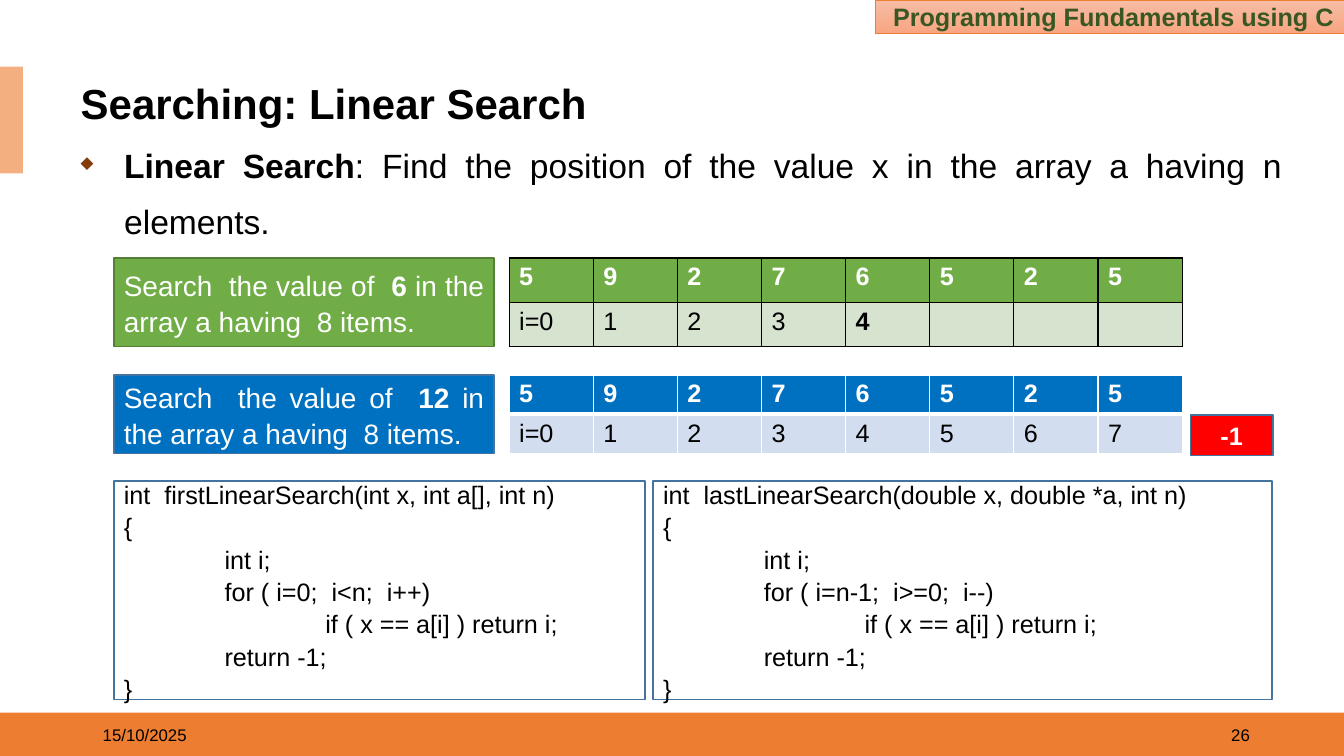
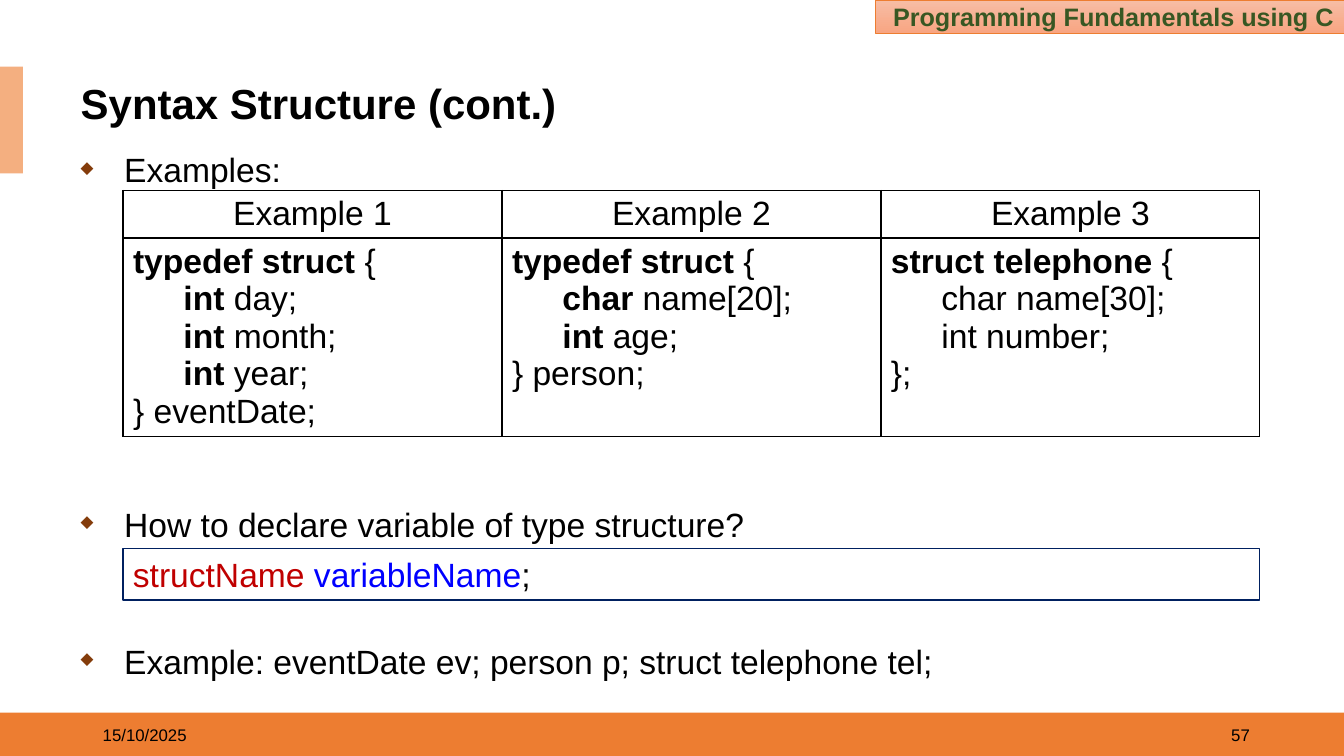
from dataclasses import dataclass

from lxml import etree
from pptx import Presentation
from pptx.dml.color import RGBColor
from pptx.enum.shapes import MSO_SHAPE
from pptx.enum.text import MSO_ANCHOR, MSO_AUTO_SIZE, PP_ALIGN
from pptx.oxml.ns import qn
from pptx.util import Cm, Pt

RECT = MSO_SHAPE.RECTANGLE
LEFT, CENTER, RIGHT, JUSTIFY = PP_ALIGN.LEFT, PP_ALIGN.CENTER, PP_ALIGN.RIGHT, PP_ALIGN.JUSTIFY
TOP, MIDDLE = MSO_ANCHOR.TOP, MSO_ANCHOR.MIDDLE
FIXED = MSO_AUTO_SIZE.NONE
TITLE_ONLY = 5
B = {"bold": True}


@dataclass(frozen=True)
class Theme:
    font: str = "Arial"
    ink: str = "000000"
    paper: str = "FFFFFF"
    band: str = "ED7D31"
    accent: str = "F4AF80"
    tag_top: str = "F7BDA5"
    tag_bottom: str = "F8A582"
    tag_text: str = "385723"
    bullet: str = "843C0B"
    found: str = "70AD47"
    found_line: str = "538035"
    found_tint: str = "D5E3CF"
    missing: str = "0070C0"
    missing_tint: str = "D2DEEF"
    outline: str = "43739E"
    alert: str = "FF0000"
    syntax_line: str = "002060"
    type_name: str = "C00000"
    variable: str = "0000FF"
    title_size: int = 30
    body_size: int = 24
    note_size: int = 20
    code_size: int = 18
    footer_size: int = 12


def rgb(value):
    return RGBColor.from_string(value)


def assign(target, values):
    for name, value in values.items():
        setattr(target, name, value)


class Deck:
    """Builds course slides that share one theme, header and footer."""

    def __init__(self, theme):
        self.theme = theme
        self.prs = Presentation()
        assign(self.prs, {"slide_width": Cm(33.87), "slide_height": Cm(19.05)})
        self.slide = None

    def start(self, heading, number):
        t = self.theme
        self.slide = self.prs.slides.add_slide(self.prs.slide_layouts[TITLE_ONLY])
        self.box((0, 17.96, 33.87, 1.09), t.band)
        self.box((0, 1.68, 0.58, 2.69), t.accent)
        tag = self.box((22.07, 0, 11.8, 0.84), line=t.band, width=0.5)
        tag.fill.gradient()
        tag.fill.gradient_angle = 270
        for stop, color in zip(tag.fill.gradient_stops, (t.tag_top, t.tag_bottom)):
            stop.color.rgb = rgb(color)
        self.fill_frame(tag.text_frame, [[("Programming Fundamentals using C", B)]],
                        t.code_size, color=t.tag_text, align=RIGHT)

        title = self.slide.shapes.title
        assign(title, dict(zip(("left", "top", "width", "height"),
                               map(Cm, (1.78, 2.01, 30.78, 1.3)))))
        title.fill.solid()
        title.fill.fore_color.rgb = rgb(t.paper)
        self.fill_frame(title.text_frame, [[(heading, B)]], t.title_size, spacing=0.9)
        for left, text, align in ((2.34, "15/10/2025", LEFT), (24.13, str(number), RIGHT)):
            self.text((left, 18.01, 7.62, 1.02), [text], t.footer_size, align=align)

    def fill_frame(self, frame, paragraphs, size, anchor=MIDDLE, **style):
        assign(frame, {"word_wrap": True, "auto_size": FIXED, "vertical_anchor": anchor})
        self.fill_paragraphs(frame, paragraphs, size, **style)

    def fill_paragraphs(self, frame, paragraphs, size, color=None, align=LEFT,
                        spacing=1.0, step=0, bold=False):
        """Fill a frame; a paragraph is text, a list of runs, or (level, either)."""
        for index, content in enumerate(paragraphs):
            level, runs = content if isinstance(content, tuple) else (0, content)
            paragraph = frame.add_paragraph() if index else frame.paragraphs[0]
            assign(paragraph, {"alignment": align, "line_spacing": spacing, "space_before": Pt(0)})
            if level:
                paragraph._p.get_or_add_pPr().set("marL", str(Cm(step * level)))
            for text, style in [(runs, {})] if isinstance(runs, str) else runs:
                run = paragraph.add_run()
                run.text = text
                values = {"name": self.theme.font, "size": Pt(size), "bold": bold, **style}
                run_color = values.pop("color", color or self.theme.ink)
                assign(run.font, values)
                run.font.color.rgb = rgb(run_color)

    def box(self, place, fill=None, line=None, width=1):
        shape = self.slide.shapes.add_shape(RECT, *map(Cm, place))
        shape.shadow.inherit = False
        if fill:
            shape.fill.solid()
            shape.fill.fore_color.rgb = rgb(fill)
        else:
            shape.fill.background()
        if line:
            shape.line.color.rgb = rgb(line)
            shape.line.width = Pt(width)
        else:
            shape.line.fill.background()
        return shape

    def panel(self, place, paragraphs, size, fill=None, line=None, **style):
        self.fill_frame(self.box(place, fill, line).text_frame, paragraphs, size, **style)

    def text(self, place, paragraphs, size, **style):
        frame = self.slide.shapes.add_textbox(*map(Cm, place)).text_frame
        self.fill_frame(frame, paragraphs, size, **style)
        return frame

    def bullets(self, top, items, gaps):
        frame = self.text((1.78, top, 30.78, 14.22), items, self.theme.body_size,
                          align=JUSTIFY, spacing=1.4, anchor=TOP)
        for paragraph, gap in zip(frame.paragraphs, gaps):
            paragraph.space_before = Pt(gap)
            props = paragraph._p.get_or_add_pPr()
            props.set("marL", str(Cm(1.1)))
            props.set("indent", str(-Cm(1.1)))
            tint = etree.SubElement(props, qn("a:buClr"))
            etree.SubElement(tint, qn("a:srgbClr"), val=self.theme.bullet)
            etree.SubElement(props, qn("a:buSzPct"), val="50000")
            etree.SubElement(props, qn("a:buChar"), char="◆")

    def table(self, corner, columns, width, heights):
        table = self.slide.shapes.add_table(
            len(heights), columns, *map(Cm, (*corner, width * columns, sum(heights)))).table
        assign(table, {"first_row": False, "horz_banding": False})
        for column in table.columns:
            column.width = Cm(width)
        for row, height in zip(table.rows, heights):
            row.height = Cm(height)
        return table

    def cell(self, cell, paragraphs, size, fill=None, border=None, top=1, bottom=1, **style):
        props = cell._tc.get_or_add_tcPr()
        for side, width in (("L", 1), ("R", 1), ("T", top), ("B", bottom)):
            edge = etree.SubElement(props, qn(f"a:ln{side}"), w=str(Pt(width)))
            paint = etree.SubElement(edge, qn("a:solidFill"))
            etree.SubElement(paint, qn("a:srgbClr"), val=border or self.theme.ink)
        if fill:
            cell.fill.solid()
            cell.fill.fore_color.rgb = rgb(fill)
        else:
            cell.fill.background()
        self.fill_paragraphs(cell.text_frame, paragraphs, size, **style)

    def array(self, top, height, indices, fill, tint, border, rule):
        """Draw the searched array above the indices that were visited."""
        t = self.theme
        table = self.table((12.83, top), 8, 2.12, (height, height))
        for column, (value, index) in enumerate(zip("59276525", indices)):
            self.cell(table.cell(0, column), [value], t.code_size, fill, border,
                      bottom=rule, color=t.paper, bold=True)
            self.cell(table.cell(1, column), [index] if index else [], t.code_size,
                      tint, border, top=rule)


def search_code(signature, loop):
    return [signature, "{", (1, "int i;"), (1, loop),
            (2, "if ( x == a[i] ) return i;"), (1, "return -1;"), "}"]


def linear_search(deck):
    t = deck.theme
    deck.start("Searching: Linear Search", 26)
    deck.bullets(3.12, [[("Linear Search", B), (
        ": Find the position of the value x in the array a having n elements.", {})]], [0])

    searches = (
        ("6", 6.5, 2.24, t.found, t.found_line),
        ("12", 9.45, 1.98, t.missing, t.outline),
    )
    for target, top, height, fill, line in searches:
        task = [("Search  the value of  ", {}), (target, B),
                (" in the array a having  8 items.", {})]
        deck.panel((2.87, top, 9.58, height), [task], t.note_size, fill, line,
                   color=t.paper, align=JUSTIFY, spacing=1.07)
    visited = ["i=0", "1", "2", "3", [("4", B)], "", "", ""]
    deck.array(6.5, 1.12, visited, t.found, t.found_tint, t.ink, 1)
    visited = ["i=0", *"1234567"]
    deck.array(9.45, 0.99, visited, t.missing, t.missing_tint, t.paper, 3)
    deck.panel((30, 10.46, 2.08, 1.02), [[("-1", B)]], t.code_size, t.alert, t.outline,
               color=t.paper, align=CENTER)

    functions = (
        (2.87, 13.39, "int  firstLinearSearch(int x, int a[], int n)",
         "for ( i=0;  i<n;  i++)"),
        (16.46, 15.6, "int  lastLinearSearch(double x, double *a, int n)",
         "for ( i=n-1;  i>=0;  i--)"),
    )
    for left, width, signature, loop in functions:
        deck.panel((left, 12.12, width, 5.51), search_code(signature, loop), t.code_size,
                   line=t.outline, spacing=1.07, step=2.54)


def syntax_structure(deck):
    t = deck.theme
    deck.start("Syntax Structure (cont.)", 57)
    deck.bullets(3.23, ["Examples:", "How to declare variable of type structure?",
                        "Example: eventDate ev; person p; struct telephone tel;"],
                 [0, 213, 57.5])

    definitions = (
        [[("typedef struct", B), (" {", {})],
         *[(1, [("int", B), (f" {field};", {})]) for field in ("day", "month", "year")],
         "} eventDate;"],
        [[("typedef struct", B), (" {", {})],
         (1, [("char", B), (" name[20];", {})]),
         (1, [("int", B), (" age;", {})]),
         "} person;"],
        [[("struct telephone", B), (" {", {})],
         (1, "char name[30];"), (1, "int number;"), "};"],
    )
    examples = deck.table((3.1, 4.8), 3, 9.55, (1.19, 4.99))
    for column, definition in enumerate(definitions):
        deck.cell(examples.cell(0, column), [f"Example {column + 1}"], t.body_size, align=CENTER)
        deck.cell(examples.cell(1, column), definition, t.body_size, step=1.27)

    declaration = [("structName ", {"color": t.type_name}),
                   ("variableName", {"color": t.variable}), (";", {})]
    deck.panel((3.1, 13.82, 28.65, 1.3), [declaration], t.body_size, line=t.syntax_line)


def main():
    deck = Deck(Theme())
    linear_search(deck)
    syntax_structure(deck)
    deck.prs.save("out.pptx")


if __name__ == "__main__":
    main()
